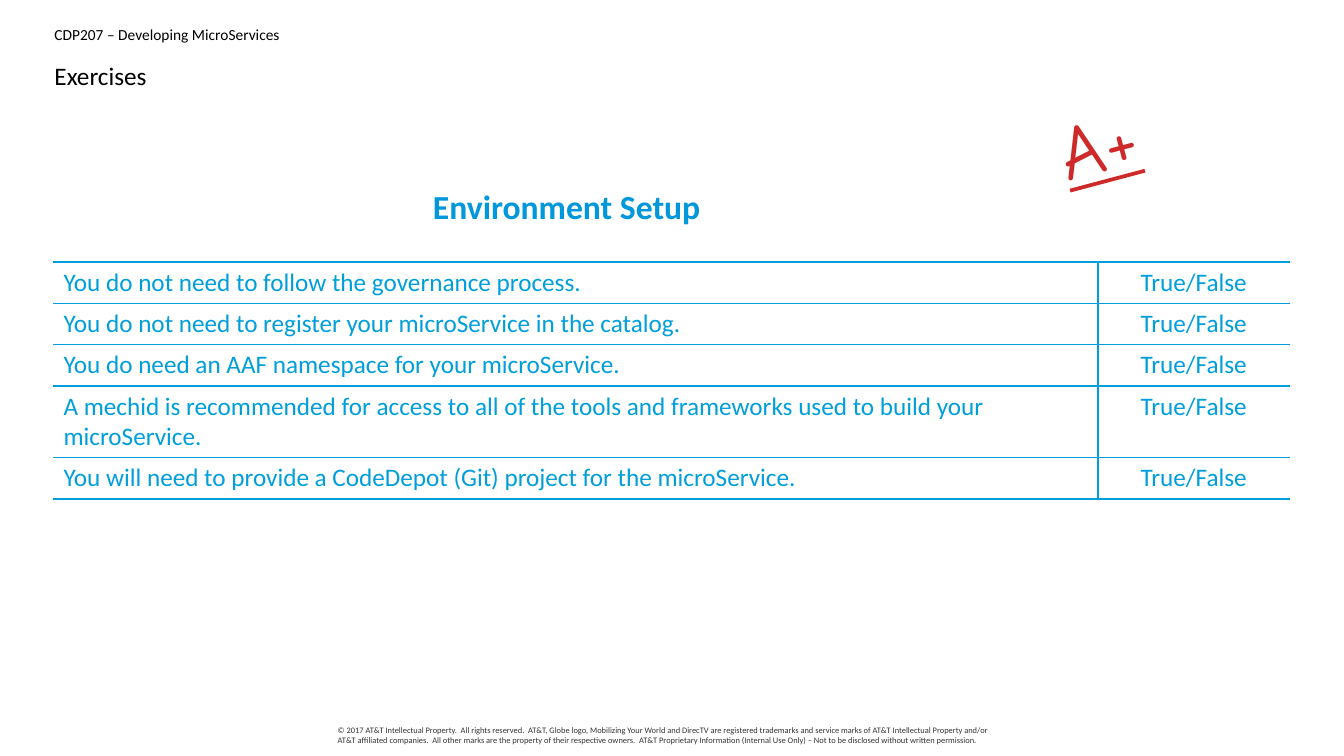
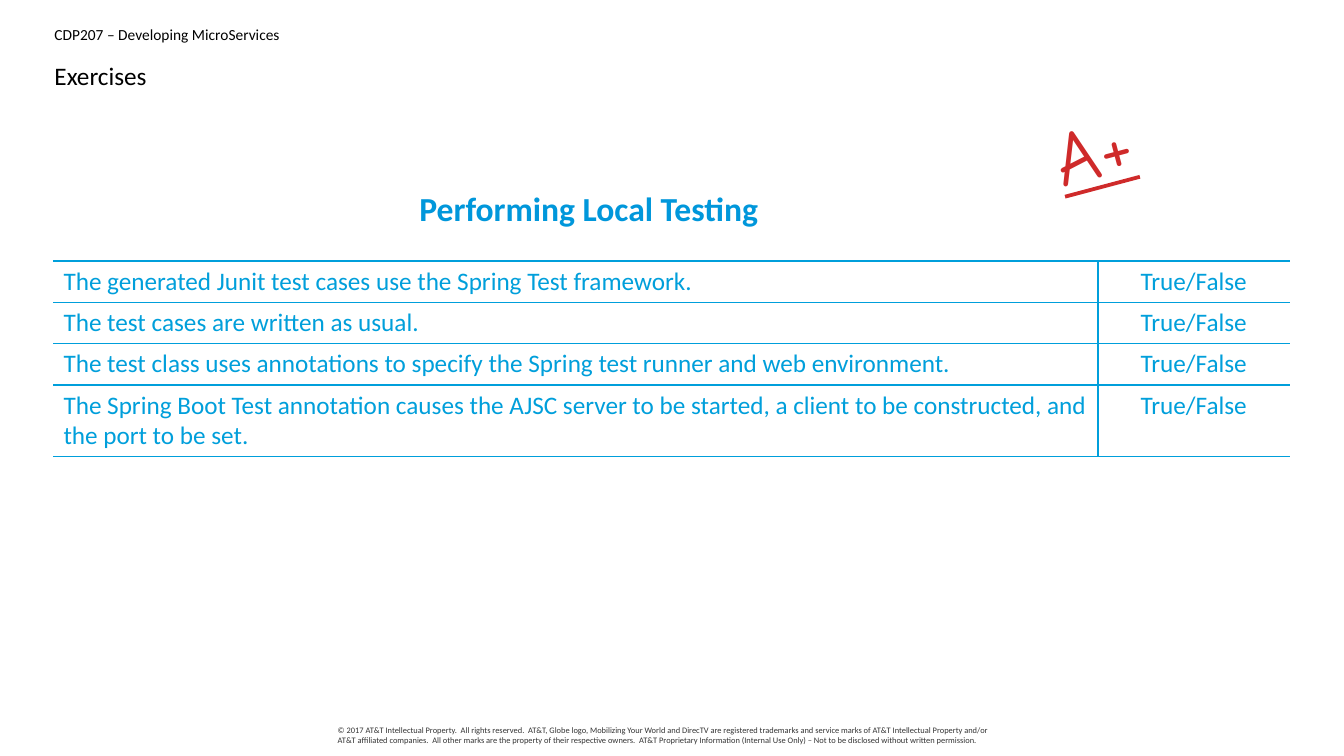
from lxml import etree
from pptx import Presentation
from pptx.dml.color import RGBColor
from pptx.enum.text import MSO_ANCHOR, MSO_AUTO_SIZE, PP_ALIGN
from pptx.oxml.ns import qn
from pptx.util import Inches, Pt

LEFT, MID = PP_ALIGN.LEFT, PP_ALIGN.CENTER
TOP = MSO_ANCHOR.TOP
NONE, GROW = MSO_AUTO_SIZE.NONE, MSO_AUTO_SIZE.SHAPE_TO_FIT_TEXT

HUES = {"black": "000000", "gray": "343434", "cyan": "009FDB",
        "blue": "0097DB", "silver": "BFBFBF", "red": "CF2A2A"}

COURSE = "CDP207 – Developing MicroServices"
LEGAL = (
    "© 2017 AT&T Intellectual Property.  All rights reserved.  "
    "AT&T, Globe logo, Mobilizing Your World and DirecTV are registered "
    "trademarks and service marks of AT&T Intellectual Property and/or "
    "AT&T affiliated companies.  All other marks are the property of their "
    "respective owners.  AT&T Proprietary Information (Internal Use Only) "
    "– Not to be disclosed without written permission."
)

PAGES = [
    {"head": "Environment Setup", "box": (4.18, 1.8, 2.88, 0.5),
     "grade": (10.49, 0.9), "top": 2.6,
     "rows": [
         "You do not need to follow the governance process.",
         "You do not need to register your microService in the catalog.",
         "You do need an AAF namespace for your microService.",
         "A mechid is recommended for access to all of the tools and "
         "frameworks used to build your microService.",
         "You will need to provide a CodeDepot (Git) project for the "
         "microService.",
     ]},
    {"head": "Performing Local Testing", "box": (4.04, 1.82, 3.6, 0.5),
     "grade": (10.44, 0.96), "top": 2.59,
     "rows": [
         "The generated Junit test cases use the Spring Test framework.",
         "The test cases are written as usual.",
         "The test class uses annotations to specify the Spring test runner "
         "and web environment.",
         "The Spring Boot Test annotation causes the AJSC server to be "
         "started, a client to be constructed, and the port to be set.",
     ]},
]


def write(frame, text, size=18, hue="cyan", face="Calibri", align=LEFT,
          bold=False, line=False, inset=True, wrap=True, fit=NONE):
    if not inset:
        frame.margin_left = frame.margin_right = 0
        frame.margin_top = frame.margin_bottom = 0
    frame.word_wrap = wrap
    frame.auto_size = fit
    frame.vertical_anchor = TOP
    para = frame.paragraphs[0]
    para.alignment = align
    run = para.add_run()
    run.text = text
    font = run.font
    font.name, font.size, font.bold = face, Pt(size), bold
    font.underline = line
    font.color.rgb = RGBColor.from_string(HUES[hue])
    return run


def edge(cell, sides):
    props = cell._tc.get_or_add_tcPr()
    for side in "LRTB":
        ln = etree.SubElement(props, qn(f"a:ln{side}"), w=str(Pt(1)))
        if side in sides:
            fill = etree.SubElement(ln, qn("a:solidFill"))
            etree.SubElement(fill, qn("a:srgbClr"), val=HUES["cyan"])
        else:
            etree.SubElement(ln, qn("a:noFill"))
    cell.fill.background()


deck = Presentation()
deck.slide_width, deck.slide_height = Inches(13.33), Inches(7.5)
layout = deck.slide_layouts[5]
slot = layout.placeholders[0]
slot.left, slot.top = Inches(0.54), Inches(0.57)
slot.width, slot.height = Inches(12.26), Inches(0.37)

for page in PAGES:
    slide = deck.slides.add_slide(layout)
    shapes = slide.shapes

    bands = [
        ((0.54, 0.25, 12.26, 0.2), COURSE, 11, "black"),
        ((3.35, 7.19, 6.64, 0.24), LEGAL, 6, "gray"),
    ]
    for box, text, size, hue in bands:
        band = shapes.add_textbox(*map(Inches, box))
        write(band.text_frame, text, size=size, hue=hue, inset=False)

    title = shapes.title.text_frame
    write(title, "Exercises", hue="black", inset=False)
    title.paragraphs[0].line_spacing = 1.1
    title.paragraphs[0].space_after = Pt(10)

    rows = page["rows"]
    grid = shapes.add_table(len(rows), 2, Inches(0.53), Inches(page["top"]),
                            Inches(12.26), Inches(0.41 * len(rows))).table
    grid.first_row = grid.horz_banding = False
    grid.columns[0].width, grid.columns[1].width = Inches(10.36), Inches(1.9)
    for row, text in enumerate(rows):
        ask, reply = grid.cell(row, 0), grid.cell(row, 1)
        for cell, words, align, sides in ((ask, text, LEFT, "RTB"),
                                          (reply, "True/False", MID, "LTB")):
            edge(cell, sides)
            write(cell.text_frame, words, align=align)

    head = shapes.add_textbox(*map(Inches, page["box"]))
    run = write(head.text_frame, page["head"], size=24, hue="blue",
                align=MID, bold=True, wrap=False, fit=GROW)
    fill = run.font.fill
    fill.gradient()
    fill.gradient_angle = 270
    for stop, hue, place in zip(fill.gradient_stops, ("blue", "silver"),
                                (0.5, 1)):
        stop.color.rgb = RGBColor.from_string(HUES[hue])
        stop.position = place

    grade = shapes.add_textbox(*map(Inches, (*page["grade"], 1.26, 0.89)))
    grade.rotation = 345.1
    write(grade.text_frame, "A+", size=54, hue="red", face="Comic Neue",
          line=True, inset=False)

deck.save("out.pptx")
